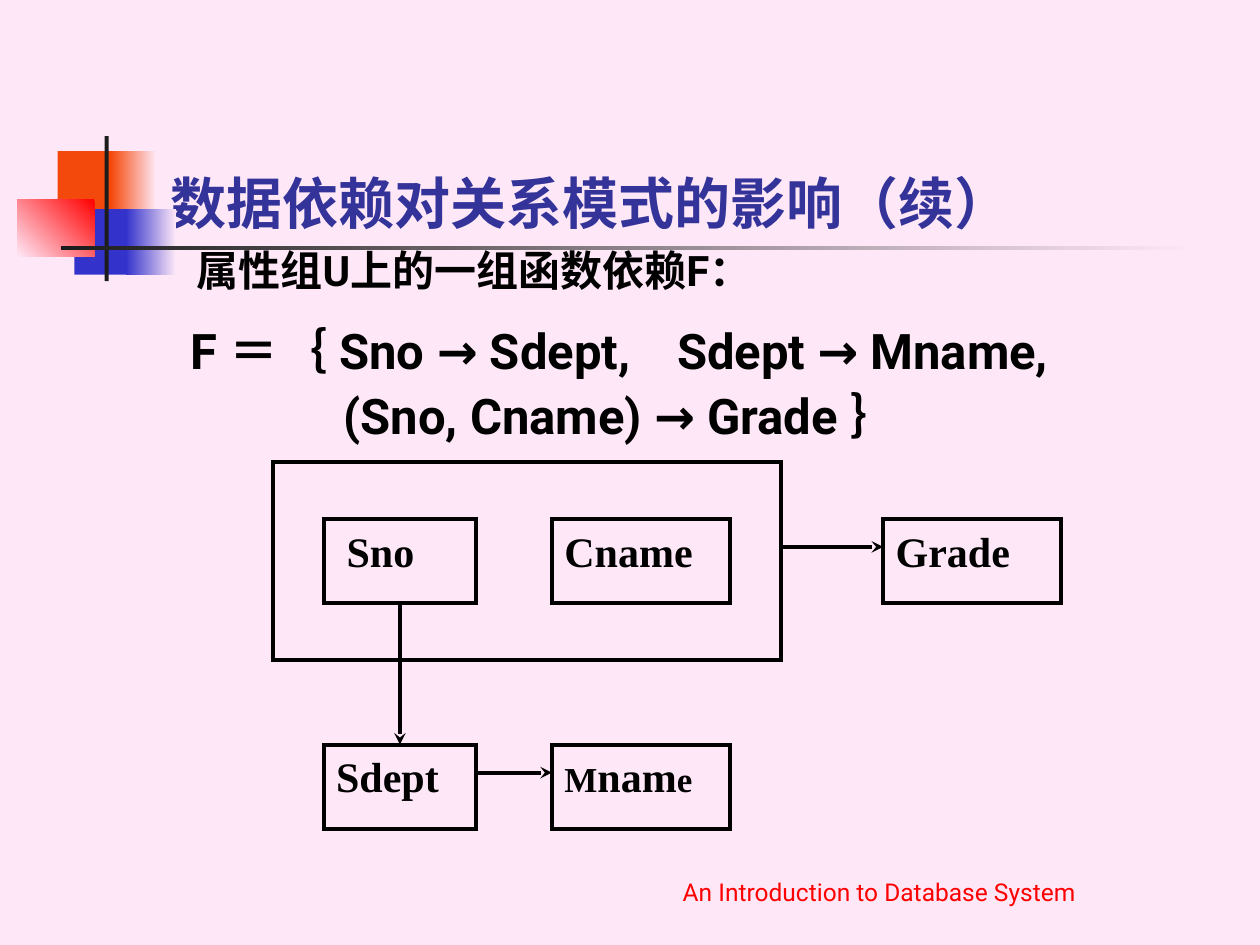
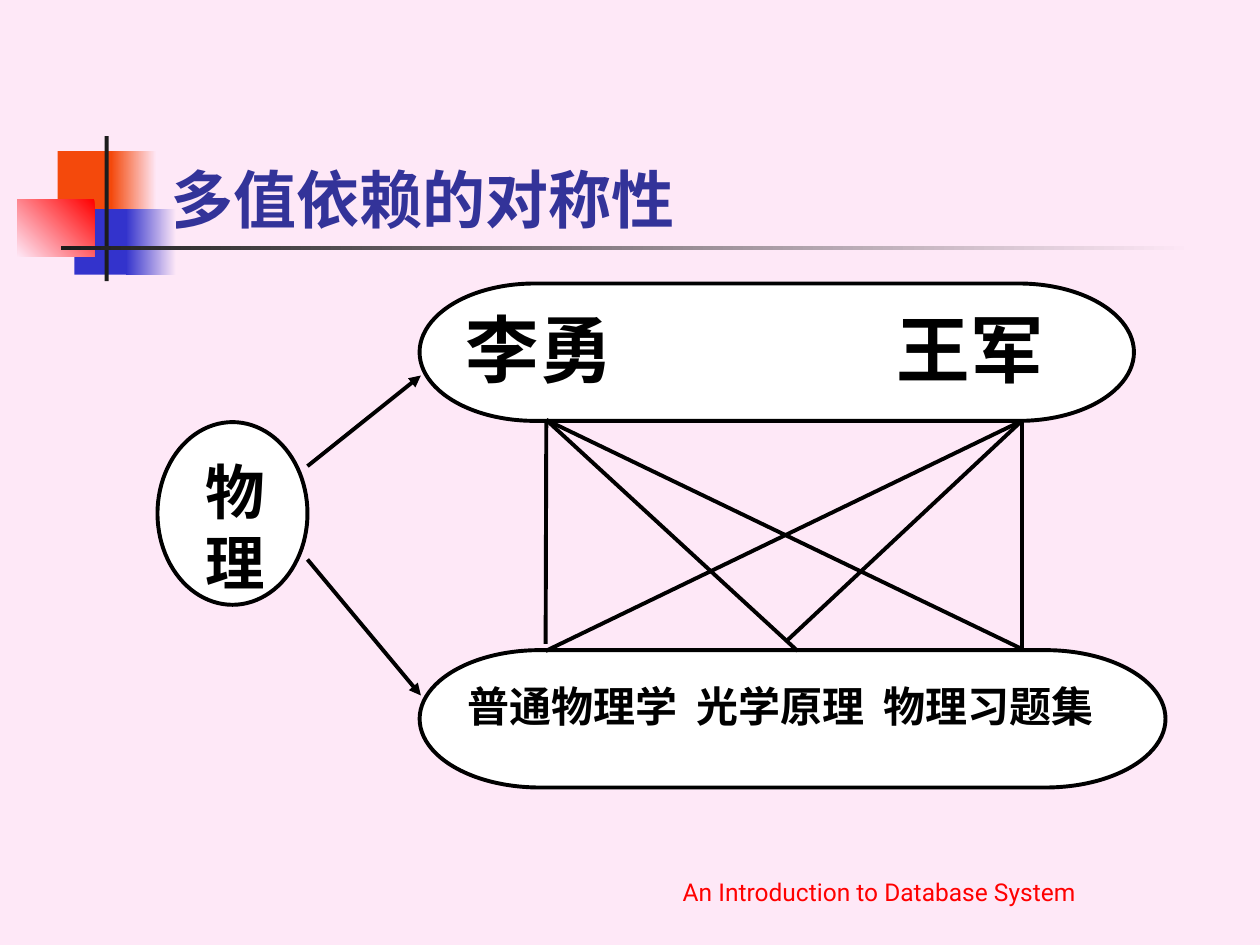
"""Build two database theory slides: functional and multivalued dependencies."""
import pptx
import pptx.dml.color
import pptx.enum.shapes
import pptx.enum.text
import pptx.oxml
import pptx.oxml.ns
import pptx.util

Pt = pptx.util.Pt
RGB = pptx.dml.color.RGBColor
SHAPE = pptx.enum.shapes.MSO_SHAPE
ANCHOR = pptx.enum.text.MSO_ANCHOR
ALIGN = pptx.enum.text.PP_ALIGN
NAMESPACE = pptx.oxml.ns.nsdecls("a")

PINK = RGB(0xFE, 0xE8, 0xF7)
ORANGE = RGB(0xF4, 0x49, 0x0C)
BLUE = RGB(0x33, 0x33, 0xCC)
RED = RGB(0xFF, 0x00, 0x00)
CHARCOAL = RGB(0x1C, 0x1C, 0x1C)
NAVY = RGB(0x33, 0x33, 0x99)
BLACK = RGB(0x00, 0x00, 0x00)
WHITE = RGB(0xFF, 0xFF, 0xFF)

SANS = "Roboto"
SERIF = "Times New Roman"
STROKE = 2.25

ORNAMENT = [
    ((33, 86.4, 34.5, 37.4), [ORANGE], 0),
    ((63.4, 86.4, 26, 37.4), [PINK, ORANGE], 180),
    ((42.5, 119.5, 33, 37.4), [BLUE], 0),
    ((72, 119.5, 28.8, 37.4), [PINK, BLUE], 180),
    ((10, 113.8, 44, 33), [RED, PINK], 225),
    ((59.8, 77.8, 2.3, 82.8), [CHARCOAL], 0),
    ((34.6, 140.4, 648, 2.3), [PINK, CHARCOAL], 180),
]


def add_run(paragraph, text, size, font, color=BLACK, bold=True, tracking=0):
    """Append a run; East Asian characters are always sans serif."""
    run = paragraph.add_run()
    run.text = text
    run.font.size = Pt(size)
    run.font.name = font
    run.font.bold = bold
    run.font.color.rgb = color
    properties = run.font._element
    properties.find(pptx.oxml.ns.qn("a:latin")).addnext(
        pptx.oxml.parse_xml(f'<a:ea {NAMESPACE} typeface="{SANS}"/>'))
    if tracking:
        properties.set("spc", str(round(tracking * 100)))


def set_indent(paragraph, points):
    """Indent the whole paragraph from the left."""
    properties = paragraph._p.get_or_add_pPr()
    properties.set("marL", str(Pt(points)))
    properties.set("indent", "0")


def set_tabs(paragraph, stops):
    """Give the paragraph left tab stops."""
    tabs = "".join(f'<a:tab pos="{Pt(stop)}" algn="l"/>' for stop in stops)
    paragraph._p.get_or_add_pPr().append(pptx.oxml.parse_xml(
        f"<a:tabLst {NAMESPACE}>{tabs}</a:tabLst>"))


def prepare_frame(frame, anchor=ANCHOR.TOP, top=3.6):
    """Set wrapping, anchor and insets of a text frame."""
    frame.word_wrap = True
    frame.auto_size = pptx.enum.text.MSO_AUTO_SIZE.NONE
    frame.vertical_anchor = anchor
    frame.margin_left = frame.margin_right = Pt(7.2)
    frame.margin_top, frame.margin_bottom = Pt(top), Pt(3.6)
    return frame


def add_textbox(slide, box, anchor=ANCHOR.TOP):
    """Add a text box and return its frame."""
    textbox = slide.shapes.add_textbox(*map(Pt, box))
    return prepare_frame(textbox.text_frame, anchor)


def add_ornament(slide):
    """Draw the overlapping squares and crossing bars beside the title."""
    for box, colors, angle in ORNAMENT:
        block = slide.shapes.add_shape(SHAPE.RECTANGLE, *map(Pt, box))
        block.shadow.inherit = False
        block.line.fill.background()
        if len(colors) == 1:
            block.fill.solid()
            block.fill.fore_color.rgb = colors[0]
        else:
            block.fill.gradient()
            block.fill.gradient_angle = angle
            for stop, color in zip(block.fill.gradient_stops, colors):
                stop.color.rgb = color


def add_base_slide(deck, heading, size):
    """Add a slide with ornament, title and footer."""
    slide = deck.slides.add_slide(deck.slide_layouts[5])
    add_ornament(slide)
    title = slide.shapes.title
    title.left, title.top, title.width, title.height = map(
        Pt, (90, 48.4, 613.4, 90))
    paragraph = prepare_frame(title.text_frame, ANCHOR.BOTTOM).paragraphs[0]
    paragraph.alignment = ALIGN.LEFT
    add_run(paragraph, heading, size, SANS, NAVY)
    footer = add_textbox(slide, (314.6, 485.3, 375.8, 36), ANCHOR.BOTTOM)
    footer.paragraphs[0].alignment = ALIGN.CENTER
    add_run(footer.paragraphs[0], "An Introduction to Database System",
            14, SANS, RED, bold=False)
    return slide


def add_node(slide, kind, box, lines=(), fill=None, indent=0, top=3.6):
    """Add an outlined node; each line lists (text, size[, tracking]) runs."""
    node = slide.shapes.add_shape(kind, *map(Pt, box))
    node.shadow.inherit = False
    node.line.color.rgb = BLACK
    node.line.width = Pt(STROKE)
    node.line._get_or_add_ln().append(pptx.oxml.parse_xml(
        f'<a:miter {NAMESPACE} lim="800000"/>'))
    if fill is None:
        node.fill.background()
    else:
        node.fill.solid()
        node.fill.fore_color.rgb = fill
    frame = prepare_frame(node.text_frame, top=top)
    for index, runs in enumerate(lines):
        paragraph = frame.add_paragraph() if index else frame.paragraphs[0]
        paragraph.alignment = ALIGN.LEFT
        set_indent(paragraph, indent)
        for text, size, *tracking in runs:
            add_run(paragraph, text, size, SERIF,
                    tracking=tracking[0] if tracking else 0)
    return node


def spaced_names(names, size, gap):
    """Return the runs of a row of names, each gap one widened space."""
    runs = [(names[0], size)]
    for name in names[1:]:
        runs += [(" ", size, gap), (name, size)]
    return runs


def add_link(slide, start, end, arrow=None):
    """Draw a straight line, with an arrowhead at its end if named."""
    link = slide.shapes.add_connector(
        pptx.enum.shapes.MSO_CONNECTOR.STRAIGHT, *map(Pt, start + end))
    link.line.color.rgb = BLACK
    link.line.width = Pt(STROKE)
    if arrow:
        link.line._get_or_add_ln().append(pptx.oxml.parse_xml(
            f'<a:tailEnd {NAMESPACE} type="{arrow}"/>'))
    link._element.spPr.append(pptx.oxml.parse_xml(f"<a:effectLst {NAMESPACE}/>"))
    return link


def add_dependency_set(slide):
    """Write the set F of functional dependencies."""
    frame = add_textbox(slide, (77.8, 132.2, 612, 324))
    lines = [
        ([("\t", 28), ("属性组U上的一组函数依赖F：", 24)], [27.5], 6, 1),
        ([("\tF ＝｛ Sno → Sdept,\tSdept → Mname,", 28)], [24, 302], 7, 1.2),
        ([("\t(Sno, Cname) → Grade ｝", 28)], [111.5], 3.5, 1),
    ]
    for index, (runs, tabs, before, spacing) in enumerate(lines):
        paragraph = frame.add_paragraph() if index else frame.paragraphs[0]
        paragraph.space_before = Pt(before)
        paragraph.line_spacing = spacing
        set_tabs(paragraph, tabs)
        for text, size in runs:
            add_run(paragraph, text, size, SANS)


def add_dependency_diagram(slide):
    """Draw the attributes and the arrows between them."""
    key_row, department_row, height = 296.6, 425.5, 48.2
    first, second, third = (185, 87.1), (315.4, 101.5), (504.7, 101.5)
    add_node(slide, SHAPE.RECTANGLE, (156.2, 264.2, 290.2, 113))

    def attribute(column, row, runs, indent=0):
        """Place one attribute box in the diagram grid."""
        left, width = column
        return add_node(slide, SHAPE.RECTANGLE, (left, row, width, height),
                        [runs], indent=indent)

    sno = attribute(first, key_row, [("Sno", 24)], indent=6)
    attribute(second, key_row, [("Cname", 24)])
    attribute(third, key_row, [("Grade", 24)])
    sdept = attribute(first, department_row, [("Sdept", 24)])
    attribute(second, department_row, [("M", 20), ("nam", 24), ("e", 20)])

    sno_to_sdept = add_link(slide, (228.5, 344.8), (228.5, 425.5), "stealth")
    sno_to_sdept.begin_connect(sno, 2)
    sno_to_sdept.end_connect(sdept, 0)
    add_link(slide, (272.1, 441.5), (315.4, 441.5), "stealth")
    add_link(slide, (446.4, 312.5), (504.7, 312.5), "stealth")


def add_symmetry_diagram(slide):
    """Draw the course, its teachers and its books, and link them."""
    add_node(slide, SHAPE.OVAL, (90, 241.2, 85.7, 104.4),
             [[("物", 34)], [("理", 34)]], WHITE, indent=8)
    add_node(slide, SHAPE.FLOWCHART_TERMINATOR, (239.8, 371.5, 426.2, 78.5),
             [spaced_names(["普通物理学", "光学原理", "物理习题集"], 24, 5)],
             WHITE, top=5.8)
    add_node(slide, SHAPE.FLOWCHART_TERMINATOR, (239.8, 162, 408.2, 78.5),
             [spaced_names(["李勇", "王军"], 42, 152)], WHITE, top=0)
    add_link(slide, (175.7, 266.4), (240.5, 214.6), "triangle")
    add_link(slide, (175.7, 319.7), (240.5, 397.4), "triangle")
    teachers = {
        (312.2, 240): [(311.8, 368), (455.8, 372), (583.9, 370.8)],
        (583.9, 240.5): [(583.9, 370.8), (450, 365.8), (311.8, 372)],
    }
    for teacher, books in teachers.items():
        for book in books:
            add_link(slide, teacher, book)


def main():
    """Build and save the deck."""
    deck = pptx.Presentation()
    deck.slide_width, deck.slide_height = Pt(720), Pt(540)
    background = deck.slide_master.background.fill
    background.solid()
    background.fore_color.rgb = PINK

    influence = add_base_slide(deck, "数据依赖对关系模式的影响（续）", 32)
    add_dependency_set(influence)
    add_dependency_diagram(influence)

    symmetry = add_base_slide(deck, "多值依赖的对称性", 36)
    add_symmetry_diagram(symmetry)

    deck.save("out.pptx")


if __name__ == "__main__":
    main()
